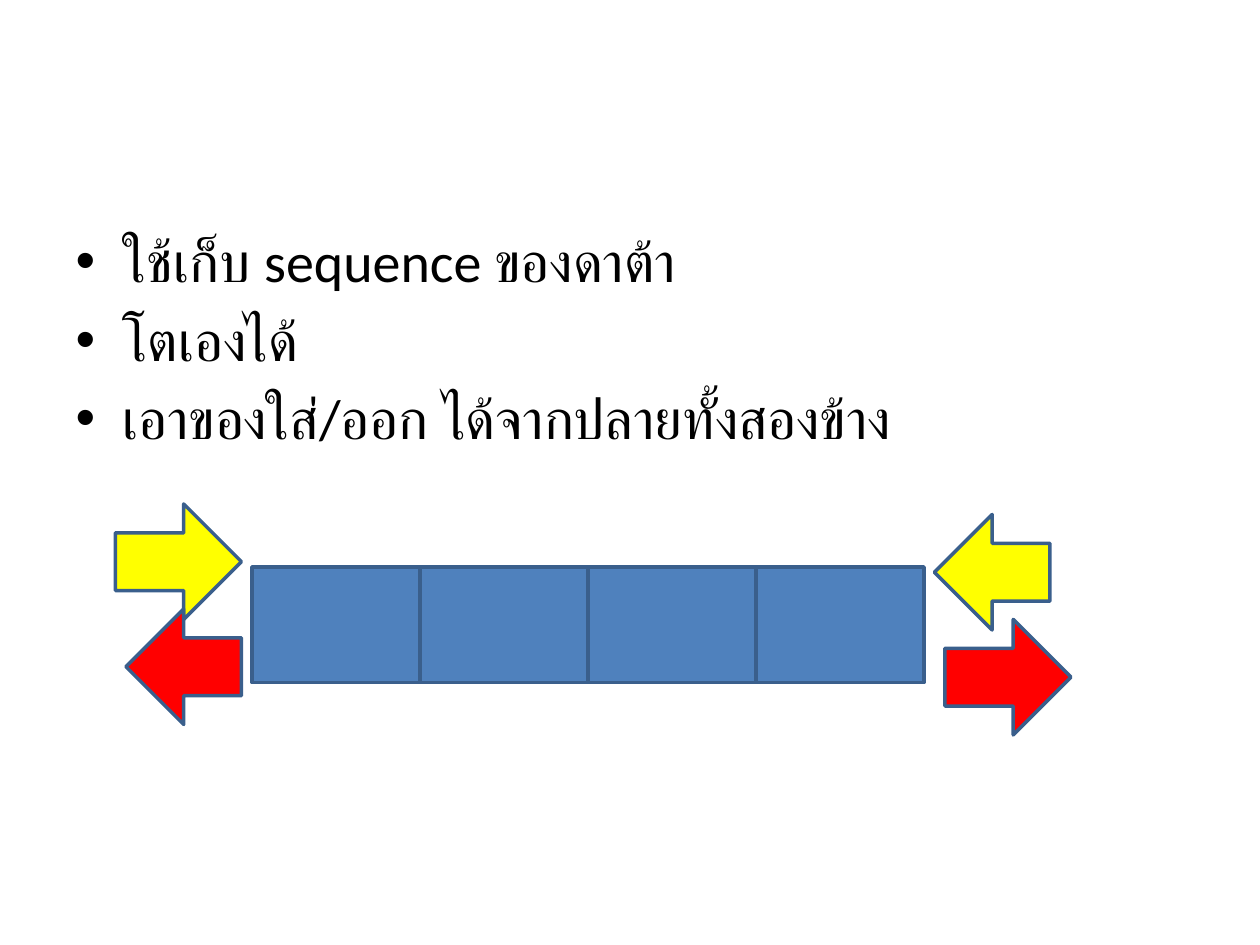
from pptx import Presentation
from pptx.dml.color import RGBColor
from pptx.enum.shapes import MSO_SHAPE as Shape
from pptx.util import Inches, Pt

BLUE = RGBColor(0x4F, 0x81, 0xBD)
OUTLINE = RGBColor(0x3A, 0x5F, 0x8C)
YELLOW = RGBColor(0xFF, 0xFF, 0x00)
RED = RGBColor(0xFF, 0x00, 0x00)
BLACK = RGBColor(0x00, 0x00, 0x00)

UNIT = 1 / 12  # grid step in inches
CELL_COUNT = 4
ROW_HEIGHT = 11  # grid steps, shared by cells and arrows

POINTS = [
    "ใช้เก็บ sequence ของดาต้า",
    "โตเองได้",
    "เอาของใส่/ออก ได้จากปลายทั้งสองข้าง",
]


def write_text(para, text, *, size=32, font="Calibri", color=BLACK):
    span = para.add_run()
    span.text = text
    span.font.size = Pt(size)
    span.font.name = font
    span.font.color.rgb = color


def add_block(page, kind, box, fill):
    """Add an outlined shape; box is left, top, width, height in grid steps."""
    block = page.shapes.add_shape(kind, *(Inches(step * UNIT) for step in box))
    block.shadow.inherit = False
    block.fill.solid()
    block.fill.fore_color.rgb = fill
    block.line.color.rgb = OUTLINE
    block.line.width = Pt(2)


def fill_points(body, box):
    body.left, body.top, body.width, body.height = map(Inches, box)
    frame = body.text_frame
    for index, text in enumerate(POINTS):
        para = frame.add_paragraph() if index else frame.paragraphs[0]
        write_text(para, text)


def add_cells(page, box):
    left, top, width, height = box
    cell_width = width / CELL_COUNT
    for index in range(CELL_COUNT):
        cell = (left + index * cell_width, top, cell_width, height)
        add_block(page, Shape.RECTANGLE, cell, BLUE)


def add_end_arrows(page, box):
    """Place yellow arrows going in and red ones going out at both ends."""
    left, top, width, height = box
    right = left + width
    arrows = [
        (Shape.RIGHT_ARROW, left - 13, top - 6, 12, YELLOW),
        (Shape.LEFT_ARROW, right + 1, top - 5, 11, YELLOW),
        (Shape.RIGHT_ARROW, right + 2, top + 5, 12, RED),
        (Shape.LEFT_ARROW, left - 12, top + 4, 11, RED),
    ]
    for kind, x, y, length, fill in arrows:
        add_block(page, kind, (x, y, length, height), fill)


def main():
    deck = Presentation()
    deck.slide_width, deck.slide_height = Inches(10), Inches(7.5)
    page = deck.slides.add_slide(deck.slide_layouts[1])
    title = page.shapes.title.element
    title.getparent().remove(title)

    fill_points(page.placeholders[1], (0.5, 1.75, 9, 4.95))
    queue = (24, 54, 64, ROW_HEIGHT)
    add_cells(page, queue)
    add_end_arrows(page, queue)
    deck.save("out.pptx")


if __name__ == "__main__":
    main()
